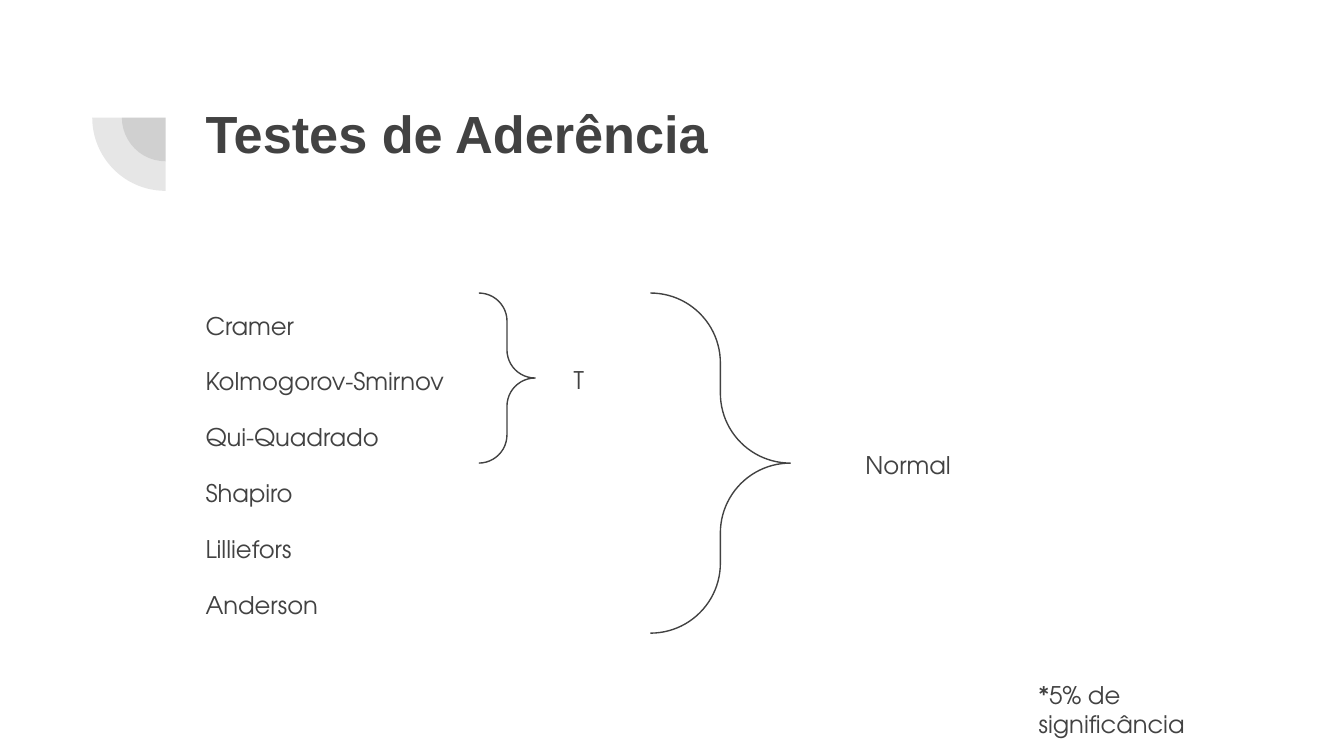
from lxml.etree import SubElement
from pptx import Presentation
from pptx.dml.color import RGBColor
from pptx.enum.shapes import MSO_SHAPE
from pptx.enum.text import MSO_ANCHOR, MSO_AUTO_SIZE, PP_ALIGN
from pptx.oxml.ns import qn
from pptx.util import Pt

COLORS = {"ink": "424242"}
FONTS = {"head": "Arial", "body": "TeX Gyre Adventor"}


class Deck:
    def __init__(self, wide, high):
        self.prs = Presentation()
        self.prs.slide_width, self.prs.slide_height = Pt(wide), Pt(high)
        self.slide = self.prs.slides.add_slide(self.prs.slide_layouts[5])
        self.ink = RGBColor.from_string(COLORS["ink"])

    def fill_text(self, shape, lines, size, font, bold=False, space=None, gap=0):
        frame = shape.text_frame
        frame.word_wrap = True
        frame.auto_size = MSO_AUTO_SIZE.NONE
        frame.vertical_anchor = MSO_ANCHOR.TOP
        frame.margin_left = frame.margin_right = Pt(7.2)
        frame.margin_top = frame.margin_bottom = Pt(7.2)
        for i, line in enumerate(lines):
            para = frame.add_paragraph() if i else frame.paragraphs[0]
            para.alignment = PP_ALIGN.LEFT
            para.line_spacing = space
            para.space_before = Pt(gap if i else 0)
            run = para.add_run()
            run.text = line
            run.font.size, run.font.name, run.font.bold = Pt(size), font, bold
            run.font.color.rgb = self.ink

    def title(self, text, *box):
        shape = self.slide.shapes.title
        shape.left, shape.top, shape.width, shape.height = map(Pt, box)
        self.fill_text(shape, [text], 28, FONTS["head"], bold=True)

    def text(self, lines, *box, **style):
        shape = self.slide.shapes.add_textbox(*map(Pt, box))
        self.fill_text(shape, lines, 13, FONTS["body"], **style)

    def shape(self, kind, box, adjust):
        shape = self.slide.shapes.add_shape(kind, *map(Pt, box))
        shape.shadow.inherit = False
        for i, value in enumerate(adjust):
            shape.adjustments[i] = value
        return shape

    def wedge(self, x, y, size):
        box = (x - size / 2, y - size / 2, size, size)
        pie = self.shape(MSO_SHAPE.PIE, box, (108, 162))
        pie.rotation = 270
        pie.line.fill.background()
        pie.fill.solid()
        pie.fill.fore_color.rgb = self.ink
        color = next(pie.element.spPr.iter(qn("a:srgbClr")))
        SubElement(color, qn("a:alpha"), val="13000")

    def brace(self, *box):
        brace = self.shape(MSO_SHAPE.RIGHT_BRACE, box, (0.5, 0.5))
        brace.fill.background()
        brace.line.color.rgb = self.ink
        brace.line.width = Pt(0.75)


def main():
    deck = Deck(720, 405)
    for size in (46.8, 78.5):
        deck.wedge(88.7, 63, size)
    deck.title("Testes de Aderência", 103, 46.8, 553.7, 78.5)

    top, high = 157, 182.2
    tests = ["Cramer", "Kolmogorov-Smirnov", "Qui-Quadrado",
             "Shapiro", "Lilliefors", "Anderson"]
    deck.text(tests, 103, top, 147.6, high, space=1.15, gap=12)
    deck.text(["T"], 300.2, 188.6, 68.4, 27.4)
    deck.text(["Normal"], 456.5, 234, 68.4, 27.4)
    deck.text(["*5% de significância"], 549.4, 357.1, 132.5, 25.2)
    deck.brace(348.5, top, 74.9, high)
    deck.brace(256.5, top, 30.2, high / 2)
    deck.prs.save("out.pptx")


if __name__ == "__main__":
    main()
